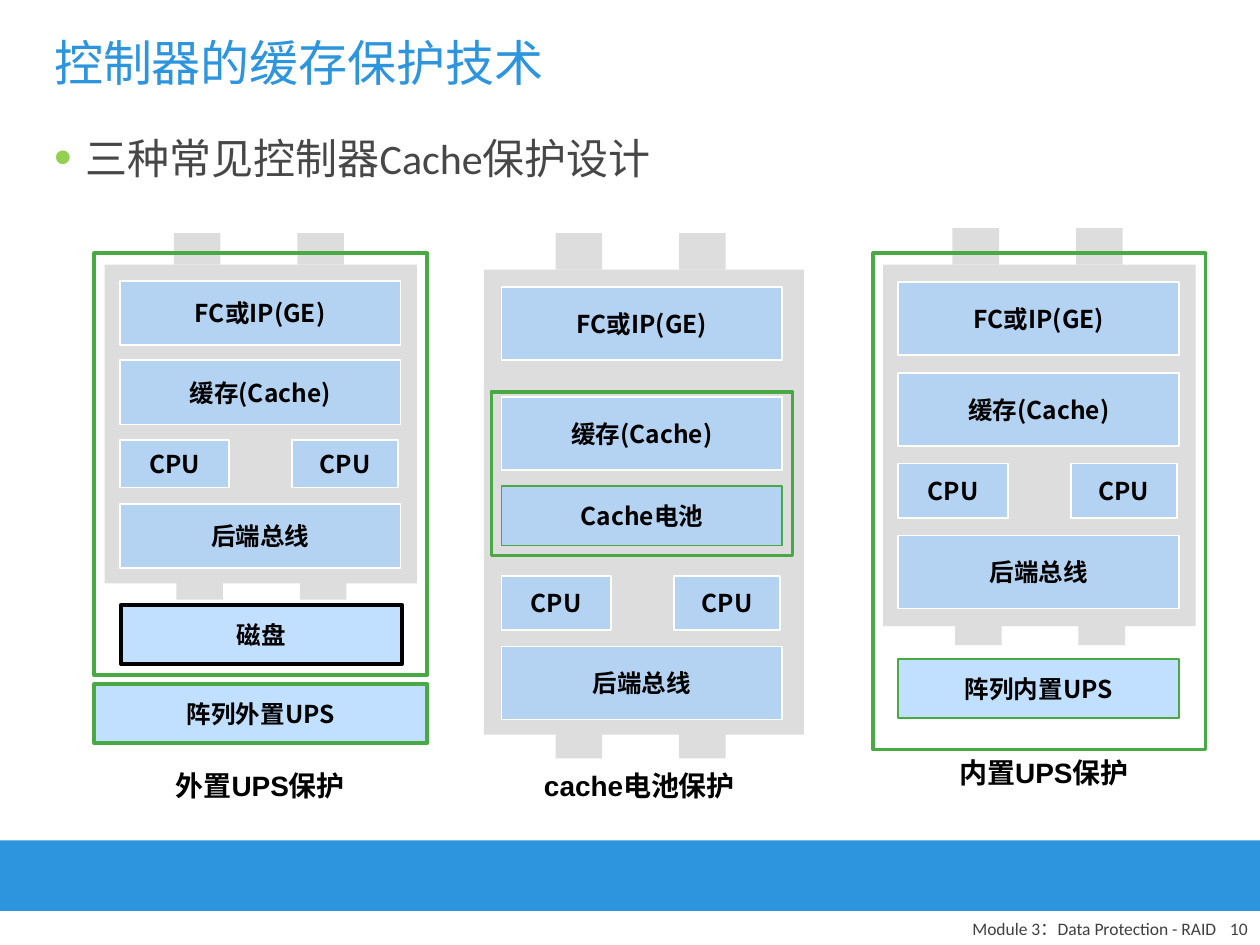
from dataclasses import dataclass
from typing import NamedTuple, Optional

from lxml.etree import SubElement
from pptx import Presentation
from pptx.dml.color import RGBColor
from pptx.enum.shapes import MSO_SHAPE
from pptx.enum.text import MSO_ANCHOR, MSO_AUTO_SIZE, PP_ALIGN
from pptx.oxml.ns import qn
from pptx.util import Inches, Pt


@dataclass(frozen=True)
class Theme:
    blue: str = "2C95DD"
    body: str = "474747"
    footer: str = "404040"
    bullet: str = "92D050"
    chassis: str = "DDDDDD"
    block: str = "99CCFF"
    guard: str = "49A942"
    white: str = "FFFFFF"
    black: str = "000000"
    cjk_font: str = "Noto Sans CJK SC"
    title_font: str = "Times New Roman"
    body_font: str = "Calibri"
    caption_font: str = "Arial"
    title_size: float = 28
    body_size: float = 24
    caption_size: float = 16
    block_size: float = 14
    footer_size: float = 10


THEME = Theme()
BLOCK_OPACITY = 60
BLOCK_WIDTH = 2.23
CPU_WIDTHS = (0.87, 0.84)
CPU_PITCH = 1.37
PORT_WIDTH = 0.37
PORT_PITCH = 0.98


class Box(NamedTuple):
    left: float
    top: float
    width: float
    height: float


class Outline(NamedTuple):
    color: str
    width: float


class Ports(NamedTuple):
    left: float
    top: float
    height: float


class Block(NamedTuple):
    label: str
    box: Box
    outline: Outline


@dataclass(frozen=True)
class Controller:
    case: Box
    ports: tuple[Ports, Ports]
    block_left: float
    row_tops: tuple[float, float, float, float]  # front end, cache, CPUs, back end
    row_height: float
    cpu_height: float
    extra: Block
    guard: Box
    guard_width: float
    caption: str
    caption_box: Box


THIN_WHITE = Outline(THEME.white, 1)
THIN_GUARD = Outline(THEME.guard, 1)

EXTERNAL_UPS = Block("阵列外置UPS", Box(0.75, 5.43, 2.64, 0.47), Outline(THEME.guard, 2.25))
CONTROLLERS = (
    Controller(
        Box(0.83, 2.1, 2.48, 2.53), (Ports(1.38, 1.85, 0.25), Ports(1.4, 4.51, 0.25)),
        0.95, (2.23, 2.86, 3.49, 4), 0.51, 0.38,
        Block("磁盘", Box(0.96, 4.8, BLOCK_WIDTH, 0.47), Outline(THEME.black, 2.25)),
        Box(0.75, 2.01, 2.64, 3.35), 2.25, "外置UPS保护", Box(1.24, 6.05, 1.65, 0.37)),
    Controller(
        Box(3.84, 2.14, 2.54, 3.69), (Ports(4.41, 1.85, 0.29), Ports(4.41, 5.68, 0.34)),
        3.98, (2.28, 3.15, 4.57, 5.13), 0.58, 0.43,
        Block("Cache电池", Box(3.98, 3.86, BLOCK_WIDTH, 0.47), THIN_GUARD),
        Box(3.9, 3.11, 2.39, 1.3), 2, "cache电池保护", Box(4.19, 6.05, 1.77, 0.37)),
    Controller(
        Box(7.01, 2.1, 2.48, 2.87), (Ports(7.56, 1.81, 0.29), Ports(7.58, 4.83, 0.29)),
        7.13, (2.24, 2.96, 3.68, 4.25), 0.58, 0.43,
        Block("阵列内置UPS", Box(7.13, 5.23, BLOCK_WIDTH, 0.47), THIN_GUARD),
        Box(6.93, 2.01, 2.64, 3.94), 2, "内置UPS保护", Box(7.46, 5.95, 1.65, 0.37)),
)


def inches(box: Box) -> list[int]:
    return [Inches(length) for length in box]


def write(frame, text: str, font: str, size: float, color: str,
          align: PP_ALIGN, bold: bool = False):
    paragraph = frame.paragraphs[0]
    paragraph.alignment = align
    run = paragraph.add_run()
    run.text = text
    run.font.name = font
    run.font.size = Pt(size)
    run.font.bold = bold
    run.font.color.rgb = RGBColor.from_string(color)
    SubElement(run.font._element, qn("a:ea"), typeface=THEME.cjk_font)
    return paragraph


def fill_placeholder(placeholder, box: Box, text: str, font: str, size: float, color: str):
    placeholder.left, placeholder.top, placeholder.width, placeholder.height = inches(box)
    placeholder.text_frame.auto_size = MSO_AUTO_SIZE.NONE
    return write(placeholder.text_frame, text, font, size, color, PP_ALIGN.LEFT)


def add_bullet(paragraph) -> None:
    paragraph.space_before = Pt(6)
    properties = paragraph._p.get_or_add_pPr()
    properties.set("marL", str(Inches(0.25)))
    properties.set("indent", str(-Inches(0.25)))
    SubElement(SubElement(properties, qn("a:buClr")), qn("a:srgbClr"), val=THEME.bullet)
    SubElement(properties, qn("a:buSzPct"), val="120000")
    SubElement(properties, qn("a:buFont"), typeface="Arial")
    SubElement(properties, qn("a:buChar"), char="•")


def add_rect(shapes, box: Box, fill: Optional[str] = None, outline: Optional[Outline] = None):
    rect = shapes.add_shape(MSO_SHAPE.RECTANGLE, *inches(box))
    rect.shadow.inherit = False
    if fill:
        rect.fill.solid()
        rect.fill.fore_color.rgb = RGBColor.from_string(fill)
    else:
        rect.fill.background()
    if outline:
        rect.line.color.rgb = RGBColor.from_string(outline.color)
        rect.line.width = Pt(outline.width)
    else:
        rect.line.fill.background()
    return rect


def add_block(shapes, block: Block) -> None:
    rect = add_rect(shapes, block.box, THEME.block, block.outline)
    color = rect._element.spPr.find(qn("a:solidFill")).find(qn("a:srgbClr"))
    SubElement(color, qn("a:alpha"), val=str(BLOCK_OPACITY * 1000))
    frame = rect.text_frame
    frame.word_wrap = False
    frame.vertical_anchor = MSO_ANCHOR.MIDDLE
    write(frame, block.label, THEME.cjk_font, THEME.block_size, THEME.black,
          PP_ALIGN.CENTER, bold=True)


def add_text(shapes, box: Box, text: str, font: str, size: float, color: str,
             align: PP_ALIGN, anchor: MSO_ANCHOR, wrap: bool, bold: bool = False) -> None:
    frame = shapes.add_textbox(*inches(box)).text_frame
    frame.word_wrap = wrap
    frame.vertical_anchor = anchor
    write(frame, text, font, size, color, align, bold)


def add_controller(shapes, controller: Controller) -> None:
    chassis = shapes.add_group_shape().shapes
    add_rect(chassis, controller.case, THEME.chassis)
    for ports in controller.ports:
        for index in range(2):
            add_rect(chassis, Box(ports.left + index * PORT_PITCH, ports.top,
                                  PORT_WIDTH, ports.height), THEME.chassis)
    front, cache, cpus, back = controller.row_tops
    for label, top in (("FC或IP(GE)", front), ("缓存(Cache)", cache), ("后端总线", back)):
        row = Box(controller.block_left, top, BLOCK_WIDTH, controller.row_height)
        add_block(chassis, Block(label, row, THIN_WHITE))
    for index, width in enumerate(CPU_WIDTHS):
        cpu = Box(controller.block_left + index * CPU_PITCH, cpus, width, controller.cpu_height)
        add_block(chassis, Block("CPU", cpu, THIN_WHITE))
    add_block(shapes, controller.extra)
    add_rect(shapes, controller.guard, outline=Outline(THEME.guard, controller.guard_width))
    add_text(shapes, controller.caption_box, controller.caption, THEME.caption_font,
             THEME.caption_size, THEME.black, PP_ALIGN.CENTER, MSO_ANCHOR.TOP,
             wrap=False, bold=True)


def main() -> None:
    presentation = Presentation()
    presentation.slide_width, presentation.slide_height = Inches(10), Inches(7.5)
    slide = presentation.slides.add_slide(presentation.slide_layouts[1])
    shapes = slide.shapes
    fill_placeholder(shapes.title, Box(0.33, 0.08, 9.25, 0.83), "控制器的缓存保护技术",
                     THEME.title_font, THEME.title_size, THEME.blue)
    shapes.title.text_frame.vertical_anchor = MSO_ANCHOR.MIDDLE
    add_bullet(fill_placeholder(slide.placeholders[1], Box(0.33, 1, 9.25, 5.33),
                                "三种常见控制器Cache保护设计",
                                THEME.body_font, THEME.body_size, THEME.body))
    add_rect(shapes, Box(0, 6.67, 10, 0.56), THEME.blue)
    for text, box in (("Module 3：Data Protection - RAID", Box(5.17, 7.25, 4.58, 0.25)),
                      ("10", Box(9.5, 7.25, 0.5, 0.25))):
        add_text(shapes, box, text, THEME.body_font, THEME.footer_size, THEME.footer,
                 PP_ALIGN.RIGHT, MSO_ANCHOR.BOTTOM, wrap=True)
    for controller in CONTROLLERS:
        add_controller(shapes, controller)
    add_block(shapes, EXTERNAL_UPS)
    presentation.save("out.pptx")


if __name__ == "__main__":
    main()
